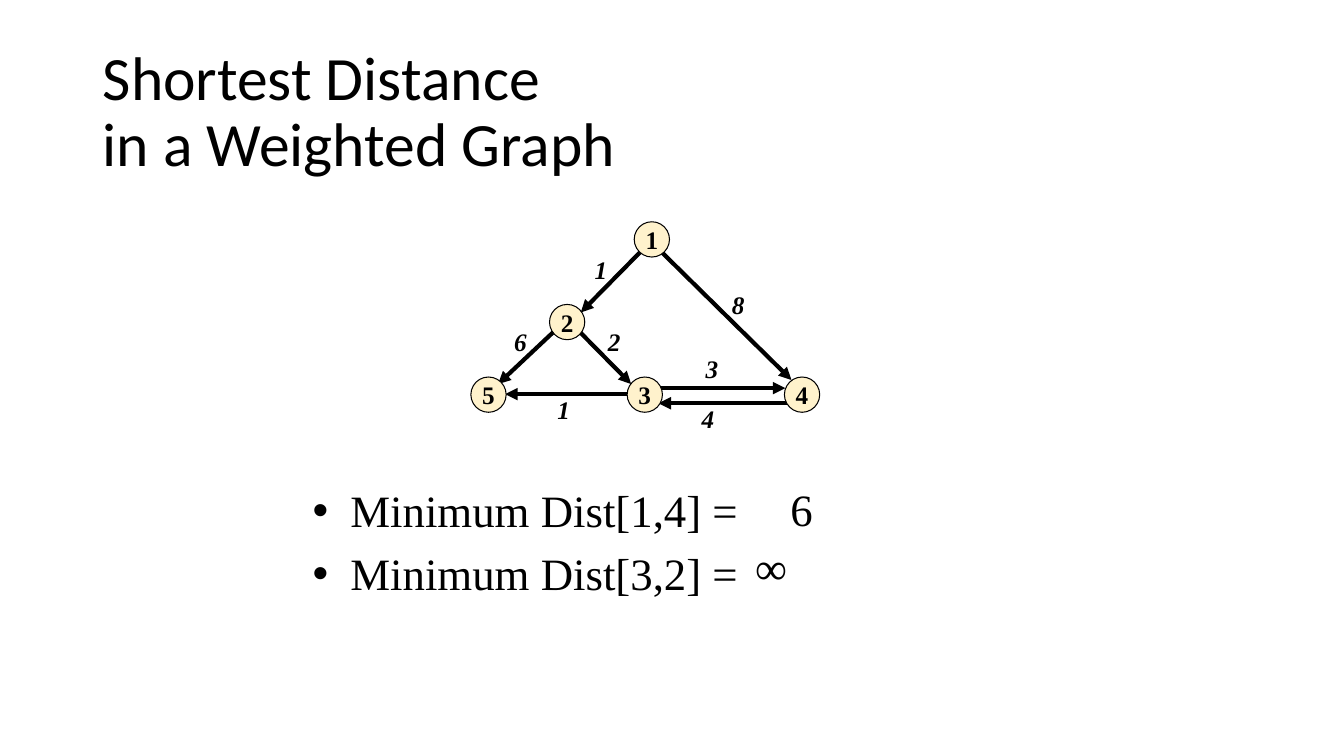
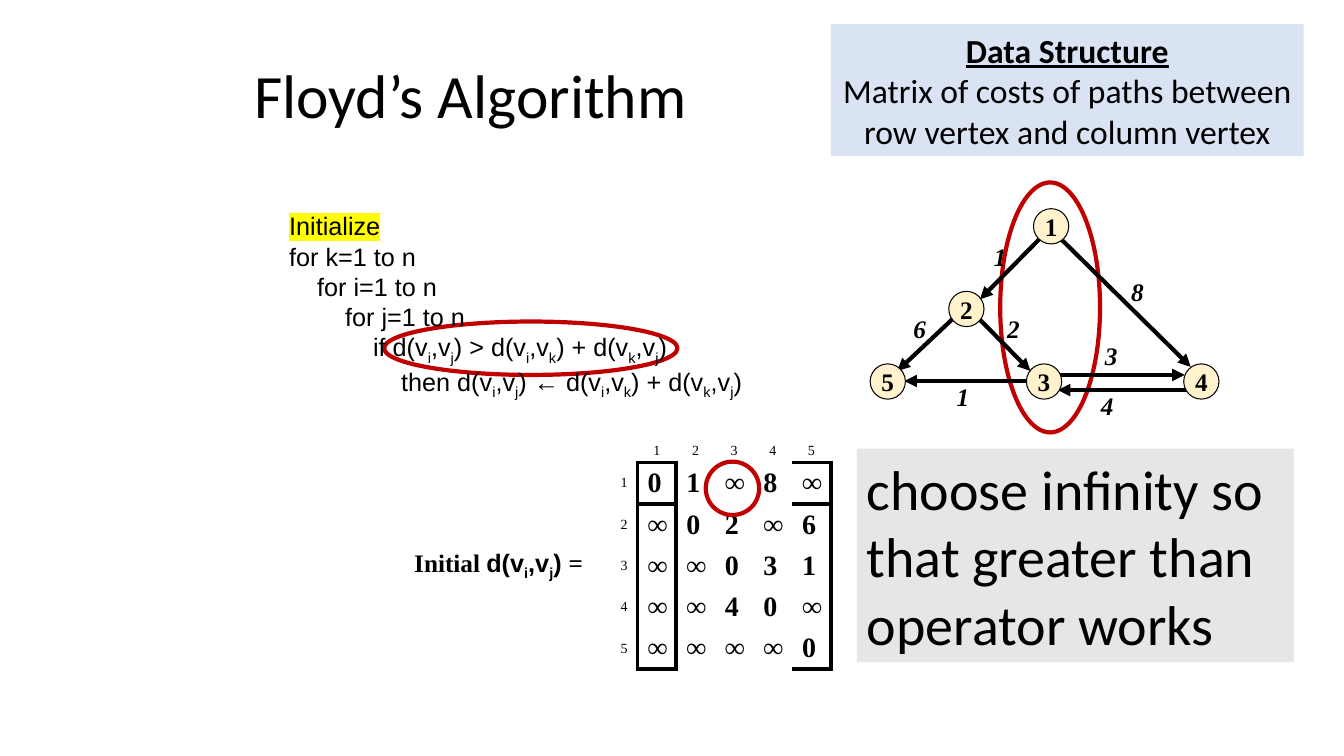
import pptx
import pptx.util
import pptx.dml.color
import pptx.enum.shapes
import pptx.enum.text
import pptx.oxml.ns
from lxml import etree

Inches, Pt = pptx.util.Inches, pptx.util.Pt
RGBColor = pptx.dml.color.RGBColor
SHAPE = pptx.enum.shapes.MSO_SHAPE
ALIGN = pptx.enum.text.PP_ALIGN
ANCHOR = pptx.enum.text.MSO_ANCHOR
qn = pptx.oxml.ns.qn

BLACK = RGBColor(0x00, 0x00, 0x00)
CREAM = RGBColor(0xFF, 0xF2, 0xCC)
RED = RGBColor(0xC0, 0x00, 0x00)
GRAY = RGBColor(0xE7, 0xE6, 0xE6)
PALE_BLUE = RGBColor(0xDA, 0xE3, 0xF3)
YELLOW = RGBColor(0xFF, 0xFF, 0x00)
SANS, SERIF, CODE_FONT = "Calibri", "Times New Roman", "Arial"
NO_STYLE_NO_GRID = "{2D5ABB26-0587-4C30-8999-92F81FD0307C}"

# Slide 1
DISTANCE_QUESTIONS = ["Minimum Dist[1,4] =", "Minimum Dist[3,2] ="]
DISTANCE_ANSWERS = [("6", 7.74, 4.73), ("∞", 7.39, 5.31)]

# Graph, measured from its own top left corner
NODE_SIZE = 0.35
NODES = {"1": (1.62, 0), "2": (0.78, 0.82), "3": (1.55, 1.54),
         "4": (3.11, 1.54), "5": (0, 1.54)}
EDGES = [  # weight, tail, tip, label corner
    ("6", (0.94, 0.98), (0.27, 1.61), (0.33, 0.99)),
    ("1", (1.55, 1.71), (0.34, 1.71), (0.76, 1.66)),
    ("4", (3.19, 1.80), (1.86, 1.80), (2.19, 1.75)),
    ("3", (1.78, 1.65), (3.12, 1.65), (2.23, 1.26)),
    ("2", (0.92, 0.93), (1.59, 1.61), (1.26, 0.99)),
    ("1", (1.73, 0.25), (1.09, 0.90), (1.13, 0.27)),
    ("8", (1.80, 0.21), (3.18, 1.57), (2.49, 0.62)),
]

# Slide 2; an underscore makes the next letter a subscript
CODE_LINES = [
    "Initialize",
    "for k=1 to n",
    "    for i=1 to n",
    "        for j=1 to n",
    "            if d(v_i,v_j) > d(v_i,v_k) + d(v_k,v_j)",
    "                then d(v_i,v_j) ← d(v_i,v_k) + d(v_k,v_j)",
]
MATRIX = [
    ["", "1", "2", "3", "4", "5"],
    ["1", "0", "1", "∞", "8", "∞"],
    ["2", "∞", "0", "2", "∞", "6"],
    ["3", "∞", "∞", "0", "3", "1"],
    ["4", "∞", "∞", "4", "0", "∞"],
    ["5", "∞", "∞", "∞", "∞", "0"],
]
MATRIX_LABEL = [("Initial ", SERIF), ("d(v_i,v_j) ", CODE_FONT), ("=", SERIF)]
DATA_STRUCTURE = ["Data Structure", "Matrix of costs of paths between",
                  "row vertex and column vertex"]
RED_OVALS = [(3.81, 3.19, 2.91, 0.53), (7, 4.58, 0.53, 0.53), (9.92, 1.81, 0.99, 2.48)]


def format_runs(paragraph, font_name, size, bold=False, italic=False):
    for run in paragraph.runs:
        font = run.font
        font.name, font.size = font_name, Pt(size)
        font.bold, font.italic = bold, italic
        font.color.rgb = BLACK


def place(shape, left, top, width, height):
    shape.left, shape.top = Inches(left), Inches(top)
    shape.width, shape.height = Inches(width), Inches(height)


def add_text_box(shapes, box, text=""):
    text_box = shapes.add_textbox(*map(Inches, box))
    text_box.text_frame.word_wrap = True
    text_box.text_frame.text = text
    return text_box.text_frame


def add_subscripted(paragraph, text):
    """Append text, lowering each letter that follows an underscore."""
    first, *rest = text.split("_")
    paragraph.add_run().text = first
    for part in rest:
        subscript = paragraph.add_run()
        subscript.text = part[0]
        subscript.font._element.set("baseline", "-25000")
        if part[1:]:
            paragraph.add_run().text = part[1:]


def add_shape(shapes, kind, box, fill=None, line=None, line_width=0.75):
    shape = shapes.add_shape(kind, *map(Inches, box))
    shape.shadow.inherit = False
    if fill is None:
        shape.fill.background()
    else:
        shape.fill.solid()
        shape.fill.fore_color.rgb = fill
    if line is None:
        shape.line.fill.background()
    else:
        shape.line.color.rgb = line
        shape.line.width = Pt(line_width)
    return shape


def add_panel(slide, box, fill, lines, size, alignment):
    text_frame = add_shape(slide.shapes, SHAPE.RECTANGLE, box, fill).text_frame
    text_frame.text = "\n".join(lines)
    for paragraph in text_frame.paragraphs:
        paragraph.alignment = alignment
        format_runs(paragraph, SANS, size)
    return text_frame


def add_arrow(shapes, tail, tip):
    arrow = shapes.add_connector(pptx.enum.shapes.MSO_CONNECTOR.STRAIGHT,
                                 *map(Inches, (*tail, *tip)))
    arrow.line.color.rgb = BLACK
    arrow.line.width = Pt(3)
    etree.SubElement(arrow.line._get_or_add_ln(), qn("a:tailEnd"), type="triangle")
    etree.SubElement(arrow._element.spPr, qn("a:effectLst"))


def add_graph(slide, left, top):
    shapes = slide.shapes.add_group_shape().shapes

    def shifted(point):
        return left + point[0], top + point[1]

    for weight, tail, tip, corner in EDGES:
        add_arrow(shapes, shifted(tail), shifted(tip))
        label = add_text_box(shapes, (*shifted(corner), 0.38, 0.4), weight)
        format_runs(label.paragraphs[0], SERIF, 18, bold=True, italic=True)
    for name, corner in NODES.items():
        node = add_shape(shapes, SHAPE.OVAL, (*shifted(corner), NODE_SIZE, NODE_SIZE),
                         CREAM, BLACK)
        text_frame = node.text_frame
        text_frame.margin_left = text_frame.margin_right = 0
        text_frame.margin_top = text_frame.margin_bottom = 0
        text_frame.word_wrap = False
        text_frame.text = name
        text_frame.paragraphs[0].alignment = ALIGN.CENTER
        format_runs(text_frame.paragraphs[0], SERIF, 18, bold=True)


def add_titled_slide(presentation, layout_index, title, box):
    slide = presentation.slides.add_slide(presentation.slide_layouts[layout_index])
    place(slide.shapes.title, *box)
    text_frame = slide.shapes.title.text_frame
    text_frame.text = title
    text_frame.vertical_anchor = ANCHOR.MIDDLE
    paragraph = text_frame.paragraphs[0]
    paragraph.alignment = ALIGN.LEFT
    paragraph.line_spacing = 0.9
    format_runs(paragraph, SANS, 44)
    return slide


def bracket_sides(row, column):
    """Name the sides of a cell that belong to the matrix brackets."""
    last = len(MATRIX) - 1
    at_edge = column in (1, last)
    rules = {"L": row and column == 1, "R": row and column in (0, last),
             "T": row == 1 and at_edge, "B": row in (0, last) and at_edge}
    return [side for side, drawn in rules.items() if drawn]


def format_cell(cell, row, column):
    is_label = row == 0 or column == 0
    cell.margin_top = cell.margin_bottom = Inches(0.04)
    cell.margin_left = Inches(0 if is_label else 0.1)
    cell.margin_right = Inches(0.1 if column == 0 else 0)
    cell.vertical_anchor = ANCHOR.BOTTOM if row == 0 else ANCHOR.MIDDLE
    paragraph = cell.text_frame.paragraphs[0]
    if row == 0:
        paragraph.alignment = ALIGN.CENTER
    elif column == 0:
        paragraph.alignment = ALIGN.RIGHT
    format_runs(paragraph, SERIF, 10 if is_label else 20, bold=not is_label)
    if not paragraph.runs:
        etree.SubElement(paragraph._p, qn("a:endParaRPr"), sz="1000")
    properties = cell._tc.get_or_add_tcPr()
    for side in bracket_sides(row, column):
        border = etree.SubElement(properties, qn(f"a:ln{side}"), w=str(Pt(3)))
        fill = etree.SubElement(border, qn("a:solidFill"))
        etree.SubElement(fill, qn("a:srgbClr"), val=str(BLACK))
    cell.fill.background()


def add_matrix(slide):
    size = len(MATRIX)
    frame = slide.shapes.add_table(size, size, *map(Inches, (5.94, 4.34, 2.3, 2.29)))
    table = frame.table
    table.first_row = table.horz_banding = False
    table._tbl.tblPr.find(qn("a:tableStyleId")).text = NO_STYLE_NO_GRID
    for index in range(size):
        table.columns[index].width = Inches(2.3 / size)
        table.rows[index].height = Inches(0.41 if index else 0.24)
    for row, values in enumerate(MATRIX):
        for column, value in enumerate(values):
            cell = table.cell(row, column)
            cell.text = value
            format_cell(cell, row, column)


def add_matrix_label(slide):
    paragraph = add_text_box(slide.shapes, (4.01, 5.38, 1.99, 0.4)).paragraphs[0]
    fonts = []
    for text, font_name in MATRIX_LABEL:
        add_subscripted(paragraph, text)
        fonts += [font_name] * (len(paragraph.runs) - len(fonts))
    format_runs(paragraph, SERIF, 18, bold=True)
    for run, font_name in zip(paragraph.runs, fonts):
        run.font.name = font_name


def add_code(slide):
    text_frame = add_text_box(slide.shapes, (2.77, 2.04, 6.41, 1.9))
    for index, line in enumerate(CODE_LINES):
        paragraph = text_frame.add_paragraph() if index else text_frame.paragraphs[0]
        add_subscripted(paragraph, line)
        format_runs(paragraph, CODE_FONT, 18)
    properties = text_frame.paragraphs[0].runs[0].font._element
    highlight = etree.Element(qn("a:highlight"))
    etree.SubElement(highlight, qn("a:srgbClr"), val=str(YELLOW))
    properties.find(qn("a:latin")).addprevious(highlight)


def build_distance_slide(presentation):
    slide = add_titled_slide(presentation, 1, "Shortest Distance\vin a Weighted Graph",
                             (0.92, 0.4, 11.5, 1.45))
    body = slide.placeholders[1]
    place(body, 3, 4.74, 8.5, 1.4)
    body.text_frame.text = "\n".join(DISTANCE_QUESTIONS)
    for paragraph in body.text_frame.paragraphs:
        format_runs(paragraph, SERIF, 32)
    body.text_frame.paragraphs[0].space_before = Pt(0)
    for answer, left, top in DISTANCE_ANSWERS:
        text_frame = add_text_box(slide.shapes, (left, top, 0.88, 0.6), answer)
        format_runs(text_frame.paragraphs[0], SERIF, 32)
    add_graph(slide, 4.67, 2.2)


def build_floyd_slide(presentation):
    slide = add_titled_slide(presentation, 5, "Floyd’s Algorithm", (2.42, 0.5, 8.5, 0.95))
    add_matrix(slide)
    add_matrix_label(slide)
    add_panel(slide, (8.5, 4.45, 4.33, 2.12), GRAY,
              ["choose infinity so that greater than operator works"], 40, ALIGN.LEFT)
    for box in RED_OVALS:
        add_shape(slide.shapes, SHAPE.OVAL, box, line=RED, line_width=3)
    panel = add_panel(slide, (8.24, 0.24, 4.69, 1.31), PALE_BLUE, DATA_STRUCTURE, 24,
                      ALIGN.CENTER)
    panel.word_wrap = False
    heading = panel.paragraphs[0].runs[0].font
    heading.bold = heading.underline = True
    add_graph(slide, 8.63, 2.07)
    add_code(slide)


def main():
    presentation = pptx.Presentation()
    presentation.slide_width, presentation.slide_height = Inches(13.33), Inches(7.5)
    build_distance_slide(presentation)
    build_floyd_slide(presentation)
    presentation.save("out.pptx")


if __name__ == "__main__":
    main()
